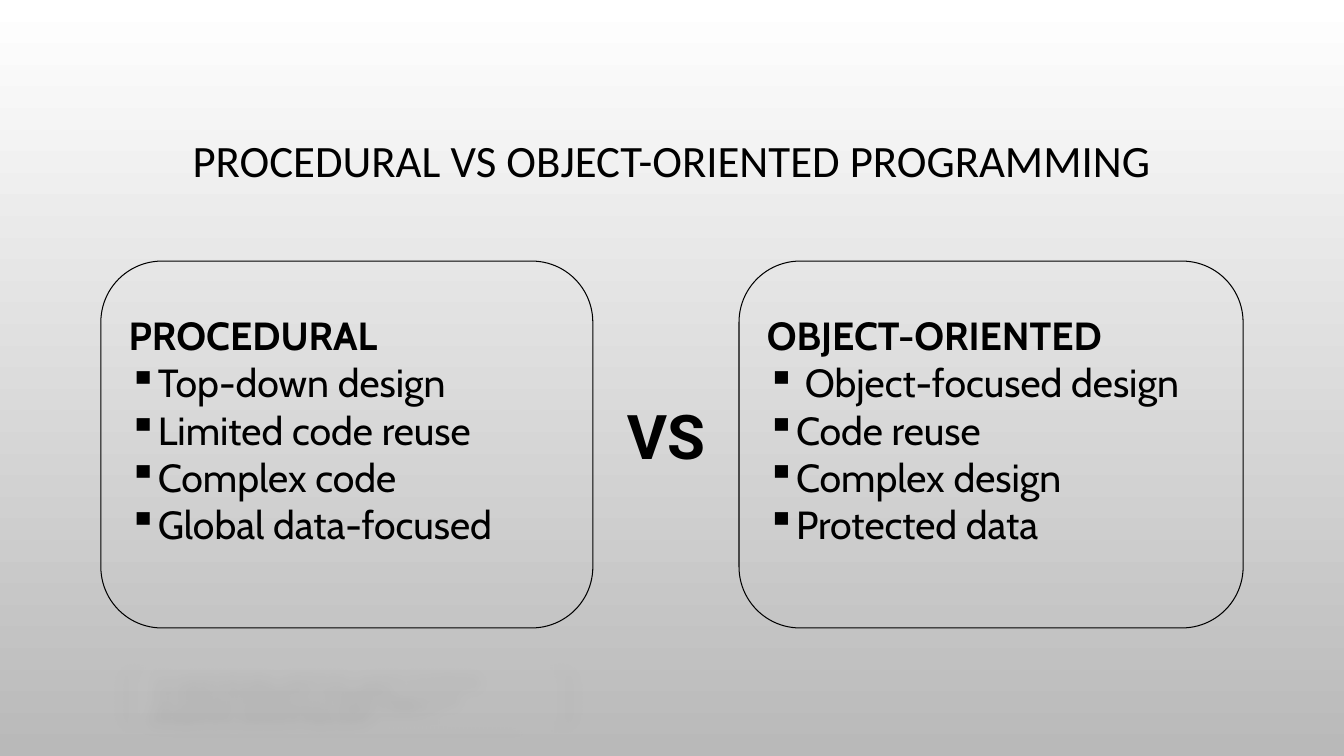
"""Build a slide comparing procedural and object-oriented programming."""
import pptx
import pptx.dml.color
import pptx.enum.shapes
import pptx.enum.text
import pptx.oxml
import pptx.oxml.ns
import pptx.util
from lxml import etree

Inches = pptx.util.Inches
Pt = pptx.util.Pt
Shapes = pptx.enum.shapes.MSO_SHAPE
Align = pptx.enum.text.PP_ALIGN

TITLE = "PROCEDURAL VS OBJECT-ORIENTED PROGRAMMING"
PANELS = [
    {"left": 1, "width": 4.88, "heading": "PROCEDURAL", "shadow": True,
     "points": ["Top-down design", "Limited code reuse", "Complex code", "Global data-focused"]},
    {"left": 7.33, "width": 5, "heading": "OBJECT-ORIENTED", "shadow": False,
     "points": [" Object-focused design", "Code reuse", "Complex design", "Protected data"]},
]
PANEL_TOP, PANEL_HEIGHT = 2.59, 3.64
BLACK = "000000"
BACKGROUND = ["FFFFFF", "B9B9B9"]
SHADOW = (
    '<a:effectLst xmlns:a="http://schemas.openxmlformats.org/drawingml/2006/main">'
    '<a:outerShdw blurRad="152400" dist="317500" dir="5400000" sx="90000" sy="-19000"'
    ' rotWithShape="0"><a:srgbClr val="000000"><a:alpha val="15000"/></a:srgbClr>'
    '</a:outerShdw></a:effectLst>'
)


def color(value):
    return pptx.dml.color.RGBColor.from_string(value)


def format_paragraph(paragraph, font_name, size, alignment, bold=False):
    paragraph.alignment = alignment
    for run in paragraph.runs:
        run.font.name = font_name
        run.font.size = Pt(size)
        run.font.bold = bold
        run.font.color.rgb = color(BLACK)


def add_bullet(paragraph):
    properties = paragraph._p.get_or_add_pPr()
    properties.set("marL", "0")
    properties.set("indent", "0")
    bullet = etree.SubElement(properties, pptx.oxml.ns.qn("a:buChar"))
    bullet.set("char", "▪")


def add_box(slide, kind, left, top, width, height):
    shape = slide.shapes.add_shape(kind, Inches(left), Inches(top), Inches(width), Inches(height))
    shape.shadow.inherit = False
    shape.fill.background()
    shape.text_frame.word_wrap = True
    shape.text_frame.vertical_anchor = pptx.enum.text.MSO_ANCHOR.MIDDLE
    return shape


def add_panel(slide, panel):
    shape = add_box(slide, Shapes.ROUNDED_RECTANGLE, panel["left"], PANEL_TOP,
                    panel["width"], PANEL_HEIGHT)
    shape.line.color.rgb = color(BLACK)
    shape.line.width = Pt(0.75)
    if panel["shadow"]:
        properties = shape._element.spPr
        effects = properties.find(pptx.oxml.ns.qn("a:effectLst"))
        properties.replace(effects, pptx.oxml.parse_xml(SHADOW))
    frame = shape.text_frame
    frame.margin_bottom = Inches(0.35)
    frame.text = "\n".join([panel["heading"], *panel["points"]])
    for index, paragraph in enumerate(frame.paragraphs):
        format_paragraph(paragraph, "Cabin", 28, Align.JUSTIFY, bold=index == 0)
        if index > 0:
            add_bullet(paragraph)


def add_title(slide):
    title = slide.shapes.title
    title.left, title.top = Inches(1.29), Inches(0.74)
    title.width, title.height = Inches(10.75), Inches(1.75)
    frame = title.text_frame
    frame.text = TITLE
    frame.word_wrap = True
    frame.vertical_anchor = pptx.enum.text.MSO_ANCHOR.MIDDLE
    frame.paragraphs[0].line_spacing = 0.9
    format_paragraph(frame.paragraphs[0], "Calibri", 32, Align.CENTER)


def main():
    presentation = pptx.Presentation()
    presentation.slide_width, presentation.slide_height = Inches(13.33), Inches(7.5)
    slide = presentation.slides.add_slide(presentation.slide_layouts[5])
    fill = slide.background.fill
    fill.gradient()
    fill.gradient_angle = 270
    for position, (stop, value) in enumerate(zip(fill.gradient_stops, BACKGROUND)):
        stop.position = position
        stop.color.rgb = color(value)

    add_title(slide)
    for panel in PANELS:
        add_panel(slide, panel)
    versus = add_box(slide, Shapes.FLOWCHART_PROCESS, 6.05, 3.75, 1.11, 1.13)
    versus.line.fill.background()
    versus.text_frame.text = "VS"
    format_paragraph(versus.text_frame.paragraphs[0], "Roboto", 44, Align.CENTER, bold=True)
    presentation.save("out.pptx")


if __name__ == "__main__":
    main()
